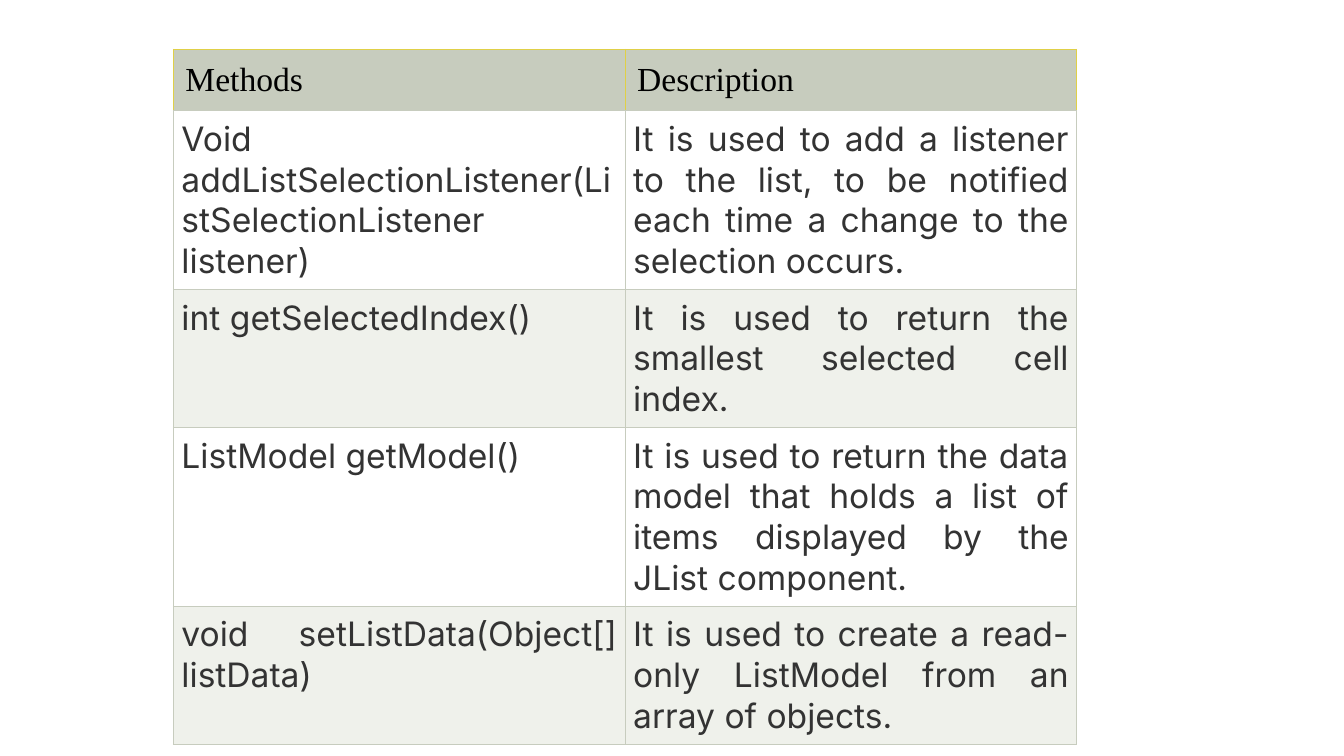
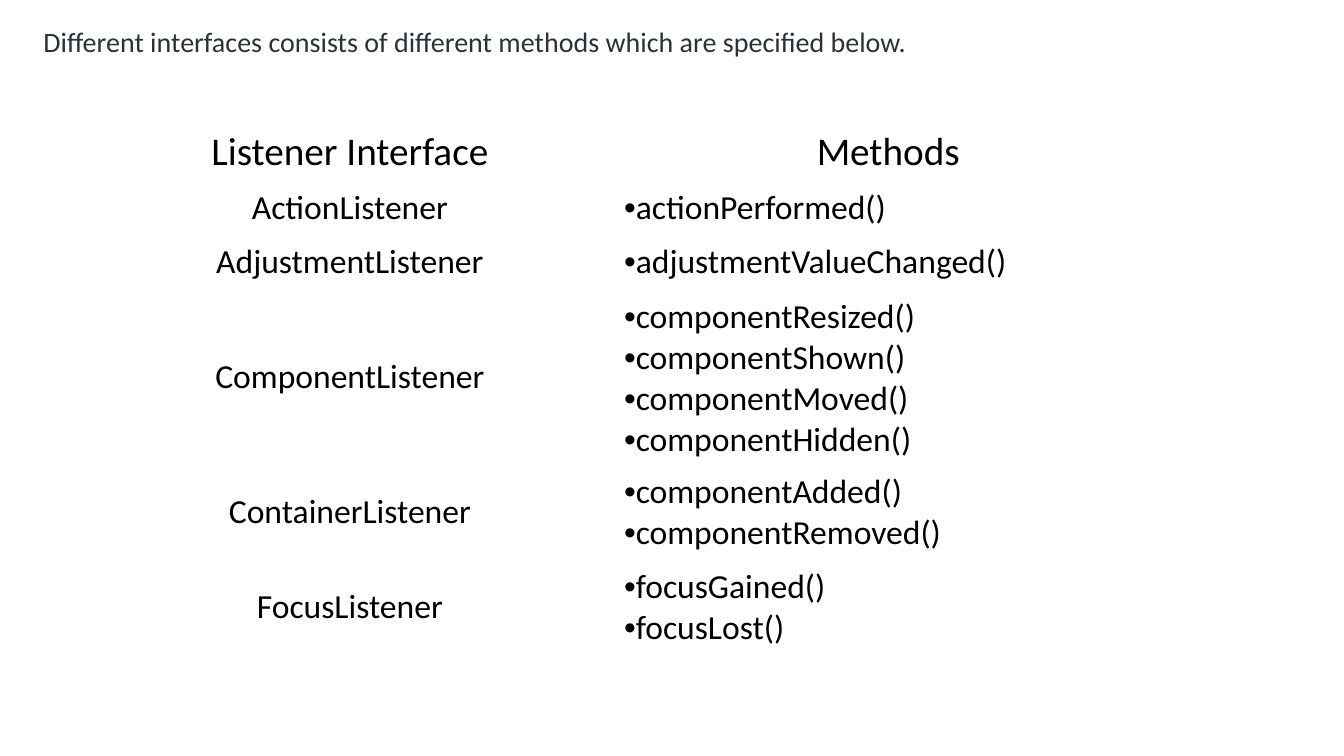
from dataclasses import dataclass
from typing import Optional

import lxml.etree
import pptx
import pptx.dml.color
import pptx.enum.text
import pptx.oxml
import pptx.oxml.ns
import pptx.util

RGBColor = pptx.dml.color.RGBColor
PP_ALIGN = pptx.enum.text.PP_ALIGN
MSO_ANCHOR = pptx.enum.text.MSO_ANCHOR

BLACK = RGBColor(0x00, 0x00, 0x00)
WHITE = RGBColor(0xFF, 0xFF, 0xFF)
BODY_GREY = RGBColor(0x33, 0x33, 0x33)
SLATE = RGBColor(0x27, 0x32, 0x39)
SAGE = RGBColor(0xC7, 0xCC, 0xBE)
PALE_SAGE = RGBColor(0xEF, 0xF1, 0xEB)
YELLOW = RGBColor(0xE0, 0xD0, 0x47)

EMU_PER_PX = 9144  # 100 px to the inch
NO_STYLE_NO_GRID = "{2D5ABB26-0587-4C30-8999-92F81FD0307C}"
SIDES = ("L", "R", "T", "B")
BULLET_FONT = "Arial"


@dataclass(frozen=True)
class TextStyle:
    font: str
    size: int
    color: RGBColor
    align: PP_ALIGN = PP_ALIGN.LEFT
    bullet: str = ""


@dataclass(frozen=True)
class CellStyle:
    text: TextStyle
    pad_x: int
    pad_y: int
    anchor: MSO_ANCHOR = MSO_ANCHOR.TOP
    fill: Optional[RGBColor] = None
    borders: tuple[RGBColor, ...] = ()  # left, right, top, bottom


@dataclass(frozen=True)
class Row:
    cells: tuple[str, str]
    styles: tuple[CellStyle, CellStyle]
    height: int


METHODS_HEAD = CellStyle(TextStyle("Times New Roman", 24, BLACK), 12, 12, fill=SAGE,
                         borders=(YELLOW, YELLOW, YELLOW, SAGE))
METHODS_TEXT = TextStyle("Inter", 24, BODY_GREY, PP_ALIGN.JUSTIFY)
METHODS_BANDS = [CellStyle(METHODS_TEXT, 8, 8, fill=fill, borders=(SAGE,) * 4)
                 for fill in (WHITE, PALE_SAGE)]

LISTENER_HEAD = CellStyle(TextStyle("Calibri", 28, BLACK, PP_ALIGN.CENTER), 5, 5,
                          MSO_ANCHOR.MIDDLE)
LISTENER_NAME = CellStyle(TextStyle("Calibri", 24, BLACK, PP_ALIGN.CENTER), 5, 7,
                          MSO_ANCHOR.MIDDLE)
LISTENER_METHODS = CellStyle(TextStyle("Calibri", 24, BLACK, bullet="•"), 5, 7,
                             MSO_ANCHOR.MIDDLE)
INTRO = TextStyle("Calibri", 20, SLATE)

LIST_METHODS = [
    ("Void addListSelectionListener(ListSelectionListener listener)",
     "It is used to add a listener to the list, to be notified each time a change "
     "to the selection occurs.", 176),
    ("int getSelectedIndex()",
     "It is used to return the smallest selected cell index.", 135),
    ("ListModel getModel()",
     "It is used to return the data model that holds a list of items displayed by "
     "the JList component.", 176),
    ("void setListData(Object[] listData)",
     "It is used to create a read-only ListModel from an array of objects.", 135),
]

LISTENERS = {
    "ActionListener": ["actionPerformed()"],
    "AdjustmentListener": ["adjustmentValueChanged()"],
    "ComponentListener": ["componentResized()", "componentShown()",
                          "componentMoved()", "componentHidden()"],
    "ContainerListener": ["componentAdded()", "componentRemoved()"],
    "FocusListener": ["focusGained()", "focusLost()"],
}
LISTENER_LINE = 40


def px(value: int) -> pptx.util.Emu:
    return pptx.util.Emu(value * EMU_PER_PX)


def add_bullet(p, char: str) -> None:
    pPr = p._p.get_or_add_pPr()
    pPr.set("marL", "0")
    pPr.set("indent", "0")
    font = lxml.etree.SubElement(pPr, pptx.oxml.ns.qn("a:buFont"))
    font.set("typeface", BULLET_FONT)
    lxml.etree.SubElement(pPr, pptx.oxml.ns.qn("a:buChar")).set("char", char)


def write_text(tf, text: str, *, style: TextStyle) -> None:
    """Fill a text frame with one paragraph for each line of text."""
    for i, line in enumerate(text.split("\n")):
        p = tf.paragraphs[0] if i == 0 else tf.add_paragraph()
        p.alignment = style.align
        if style.bullet:
            add_bullet(p, style.bullet)
        r = p.add_run()
        r.text = line
        r.font.name = style.font
        r.font.size = pptx.util.Pt(style.size)
        r.font.color.rgb = style.color


def set_borders(cell, colors: tuple[RGBColor, ...]) -> None:
    tcPr = cell._tc.get_or_add_tcPr()
    for i, (side, color) in enumerate(zip(SIDES, colors)):
        ln = pptx.oxml.parse_xml(
            f'<a:ln{side} {pptx.oxml.ns.nsdecls("a")} w="{pptx.util.Pt(0.75)}">'
            f'<a:solidFill><a:srgbClr val="{color}"/></a:solidFill></a:ln{side}>')
        tcPr.insert(i, ln)


def format_cell(cell, text: str, style: CellStyle) -> None:
    cell.margin_left = cell.margin_right = px(style.pad_x)
    cell.margin_top = cell.margin_bottom = px(style.pad_y)
    cell.vertical_anchor = style.anchor
    if style.fill is None:
        cell.fill.background()
    else:
        cell.fill.solid()
        cell.fill.fore_color.rgb = style.fill
    set_borders(cell, style.borders)
    write_text(cell.text_frame, text, style=style.text)


def add_two_column_table(s, left: int, top: int, col_width: int, rows: list[Row]) -> None:
    height = sum(row.height for row in rows)
    table = s.shapes.add_table(len(rows), 2, px(left), px(top),
                               px(2 * col_width), px(height)).table
    table.first_row = table.horz_banding = False
    table._tbl.tblPr.find(pptx.oxml.ns.qn("a:tableStyleId")).text = NO_STYLE_NO_GRID
    for column in table.columns:
        column.width = px(col_width)
    for i, row in enumerate(rows):
        table.rows[i].height = px(row.height)
        for j, (text, style) in enumerate(zip(row.cells, row.styles)):
            format_cell(table.cell(i, j), text, style)


def add_intro(s, text: str) -> None:
    sp = s.shapes.title
    sp.left, sp.top, sp.width, sp.height = px(43), px(24), px(1088), px(34)
    tf = sp.text_frame
    tf.margin_left = tf.margin_right = tf.margin_top = tf.margin_bottom = 0
    tf.word_wrap = True
    tf.auto_size = pptx.enum.text.MSO_AUTO_SIZE.SHAPE_TO_FIT_TEXT
    tf.vertical_anchor = MSO_ANCHOR.MIDDLE
    write_text(tf, text, style=INTRO)


def build_list_methods(prs) -> None:
    s = prs.slides.add_slide(prs.slide_layouts.get_by_name("Blank"))
    rows = [Row(("Methods", "Description"), (METHODS_HEAD,) * 2, 61)]
    for i, (method, description, height) in enumerate(LIST_METHODS):
        rows.append(Row((method, description), (METHODS_BANDS[i % 2],) * 2, height))
    add_two_column_table(s, 172, 49, 448, rows)


def build_listener_interfaces(prs) -> None:
    s = prs.slides.add_slide(prs.slide_layouts.get_by_name("Title Only"))
    add_intro(s, "Different interfaces consists of different methods which are "
                 "specified below.")
    rows = [Row(("Listener Interface", "Methods"), (LISTENER_HEAD,) * 2, 57)]
    for name, methods in LISTENERS.items():
        height = len(methods) * LISTENER_LINE + 2 * LISTENER_METHODS.pad_y
        rows.append(Row((name, "\n".join(methods)),
                        (LISTENER_NAME, LISTENER_METHODS), height))
    add_two_column_table(s, 80, 122, 534, rows)


def main() -> None:
    prs = pptx.Presentation()
    prs.slide_width, prs.slide_height = px(1333), px(750)
    build_list_methods(prs)
    build_listener_interfaces(prs)
    prs.save("out.pptx")


if __name__ == "__main__":
    main()
